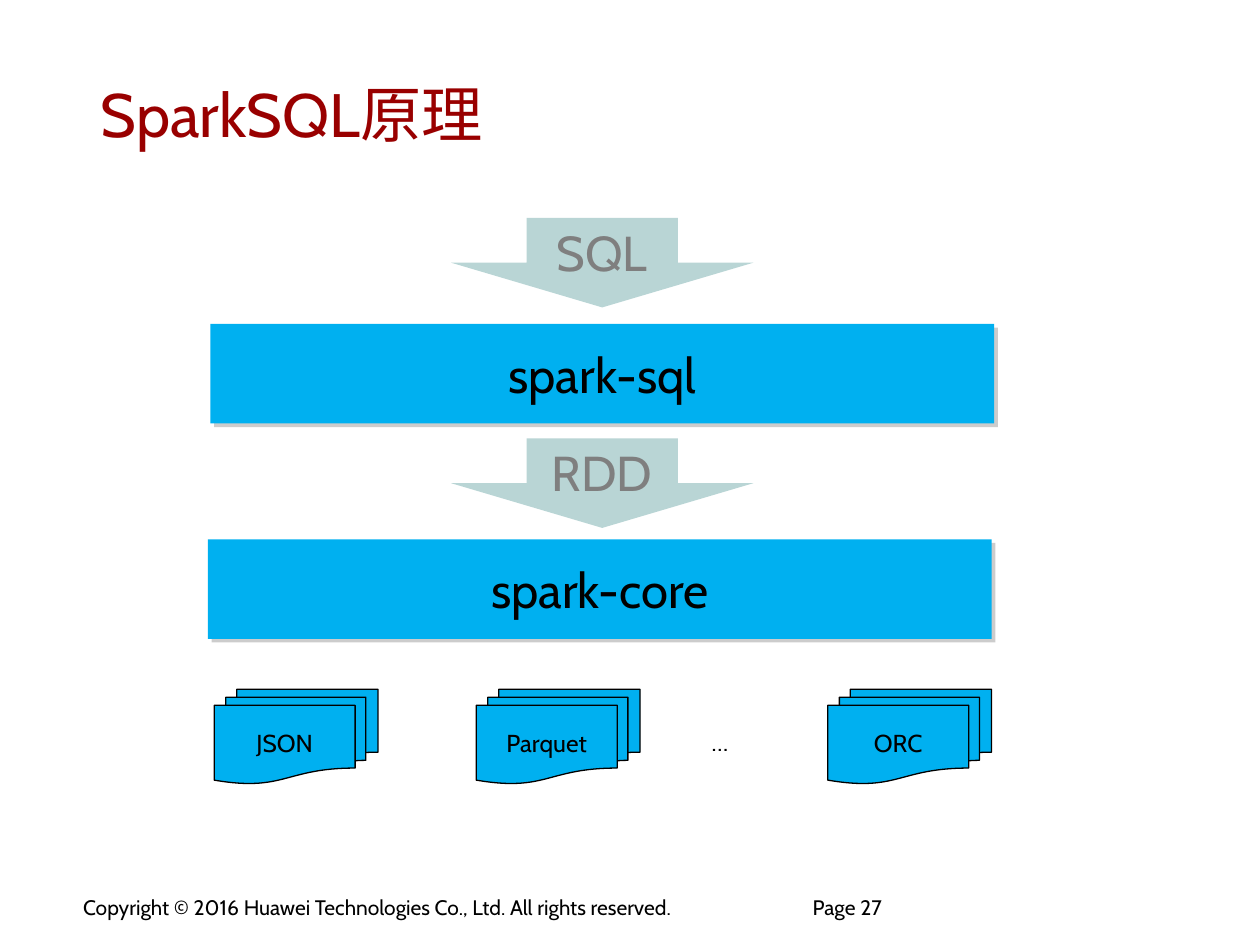
import pptx
import pptx.util
from lxml import etree
from pptx.dml.color import RGBColor
from pptx.enum.shapes import MSO_SHAPE
from pptx.enum.text import MSO_ANCHOR, MSO_AUTO_SIZE, PP_ALIGN
from pptx.oxml.ns import qn

THEME = {
    "font": "Cabin",
    "title": "990000", "text": "000000", "faded": "7F7F7F",
    "block": "00B0F0", "arrow": "B9D5D5", "shade": "808080",
    "head": 35, "big": 28, "small": 14, "foot": 12,
}
WIDTH, HEIGHT = 10, 7.5

TITLE = "SparkSQL原理"
FLOWS = ["SQL", "RDD"]
LAYERS = [("spark-sql", 1.67, 2.57), ("spark-core", 1.65, 4.28)]
FILES = [("JSON", 1.7), ("Parquet", 3.78), ("ORC", 6.57)]
MORE = "…"
FOOTER = [
    ("Copyright © 2016 Huawei Technologies Co., Ltd. All rights reserved.", 0.57, 5.57),
    ("Page 27", 6.36, 1.42),
]

LAYER_SIZE = (6.22, 0.79)
ARROW_SIZE = (2.4, 0.71)
ARROW_LEFT, ARROW_TOP, ARROW_STEP = 3.58, 1.73, 1.75
FILE_TOP, FILE_SIZE = 5.47, (1.3, 0.75)


def inches(*sizes):
    return [pptx.util.Inches(size) for size in sizes]


def color(name):
    return RGBColor.from_string(THEME[name])


def write(shape, text, size, tint="text", align=PP_ALIGN.CENTER,
          anchor=MSO_ANCHOR.MIDDLE, pad=(0.1, 0.05), wrap=True):
    frame = shape.text_frame
    frame.text = text
    frame.word_wrap = wrap
    frame.auto_size = MSO_AUTO_SIZE.NONE
    frame.vertical_anchor = anchor
    frame.margin_left = frame.margin_right = pptx.util.Inches(pad[0])
    frame.margin_top = frame.margin_bottom = pptx.util.Inches(pad[1])
    line = frame.paragraphs[0]
    line.alignment = align
    font = line.runs[0].font
    font.name = THEME["font"]
    font.size = pptx.util.Pt(THEME[size])
    font.color.rgb = color(tint)
    for tag in ("a:ea", "a:cs"):
        etree.SubElement(line.runs[0].font._element, qn(tag), typeface=THEME["font"])


def draw(slide, kind, spot, size, fill):
    shape = slide.shapes.add_shape(kind, *inches(*spot, *size))
    shape.shadow.inherit = False
    shape.fill.solid()
    shape.fill.fore_color.rgb = color(fill)
    shape.line.fill.background()
    return shape


def shade(shape):
    """Give the shape a hard shadow, 3 pt down and to the right."""
    effects = shape._element.spPr.find(qn("a:effectLst"))
    drop = etree.SubElement(effects, qn("a:outerShdw"), blurRad="0",
                            dist=str(pptx.util.Pt(3)), dir=str(45 * 60000),
                            algn="ctr", rotWithShape="0")
    tint = etree.SubElement(drop, qn("a:srgbClr"), val=THEME["shade"])
    etree.SubElement(tint, qn("a:alpha"), val="40000")


def main():
    deck = pptx.Presentation()
    deck.slide_width, deck.slide_height = inches(WIDTH, HEIGHT)
    slide = deck.slides.add_slide(deck.slide_layouts[5])

    for text, left, width in FOOTER:
        box = slide.shapes.add_textbox(*inches(left, 7.06, width, 0.3))
        write(box, text, "foot", align=PP_ALIGN.LEFT, anchor=MSO_ANCHOR.TOP,
              pad=(0.09, 0.04), wrap=False)

    title = slide.shapes.title
    title.left, title.top, title.width, title.height = inches(0.71, 0.42, 8.47, 0.95)
    write(title, TITLE, "head", "title", PP_ALIGN.LEFT, pad=(0.09, 0.04))

    for text, *spot in LAYERS:
        layer = draw(slide, MSO_SHAPE.RECTANGLE, spot, LAYER_SIZE, "block")
        shade(layer)
        write(layer, text, "big")

    for text, left in FILES:
        sheet = draw(slide, MSO_SHAPE.FLOWCHART_MULTIDOCUMENT,
                     (left, FILE_TOP), FILE_SIZE, "block")
        sheet.line.color.rgb = color("text")
        sheet.line.width = pptx.util.Pt(0.75)
        write(sheet, text, "small")

    more = slide.shapes.add_textbox(*inches(5.55, 5.72, 0.31, 0.34))
    write(more, MORE, "small")

    for row, text in enumerate(FLOWS):
        spot = (ARROW_LEFT, ARROW_TOP + row * ARROW_STEP)
        arrow = draw(slide, MSO_SHAPE.DOWN_ARROW, spot, ARROW_SIZE, "arrow")
        write(arrow, text, "big", "faded")

    deck.save("out.pptx")


if __name__ == "__main__":
    main()
